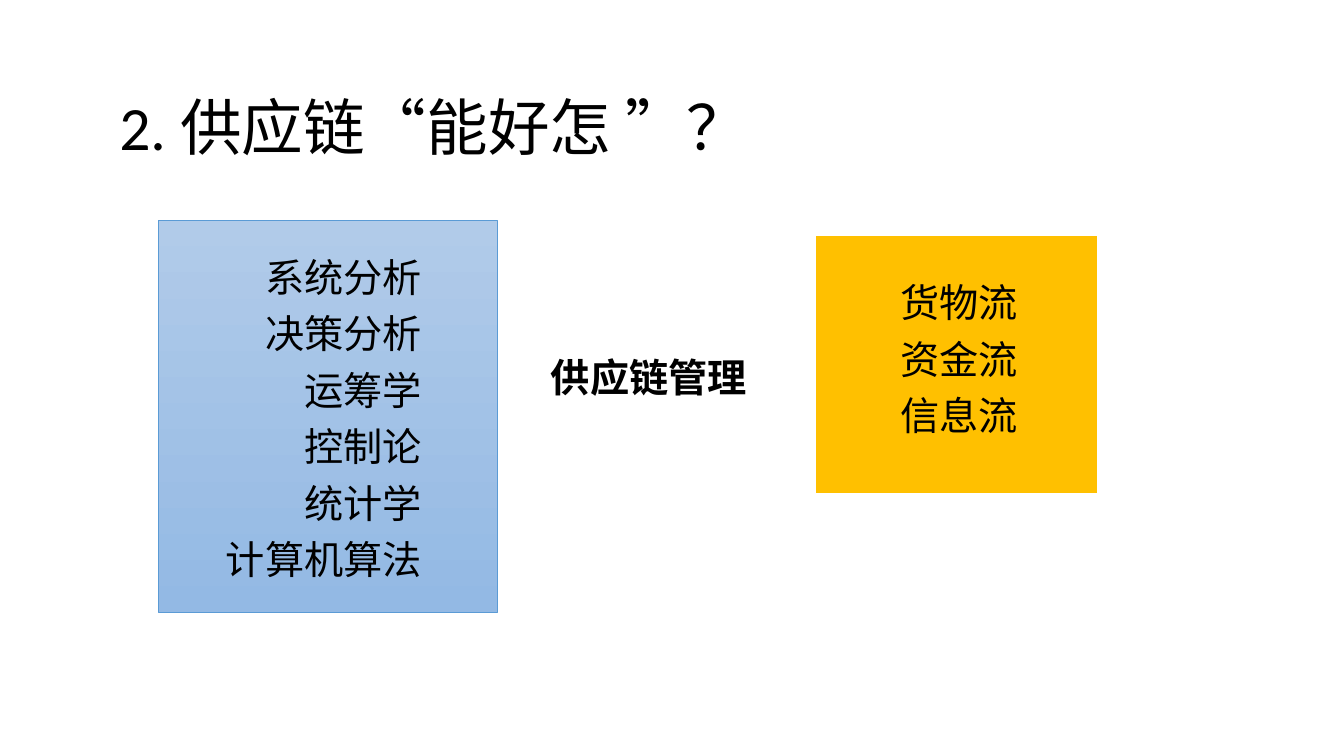
from dataclasses import dataclass, field
from pptx import Presentation
from pptx.dml.color import RGBColor
from pptx.enum.lang import MSO_LANGUAGE_ID
from pptx.enum.shapes import MSO_SHAPE
from pptx.enum.text import MSO_ANCHOR, MSO_AUTO_SIZE, PP_ALIGN
from pptx.oxml.ns import qn
from pptx.util import Inches, Pt

COLORS = {
    "text": "000000",
    "flows": "FFC000",
    "flows_line": "FFFFFF",
    "methods_top": "B1CBE9",
    "methods_bottom": "93B9E4",
    "methods_line": "5B9BD5",
}
GRID_COLUMNS, GRID_ROWS = 160, 90
LIST_FORMAT = {"line_spacing": 0.9, "space_before": Pt(10)}


@dataclass
class Area:
    column: float
    row: float
    columns: float
    rows: float


@dataclass
class Panel:
    area: Area
    fills: list[str]
    line: str
    line_width: float


@dataclass
class TextBlock:
    area: Area
    lines: list[str]
    paragraph_format: dict = field(default_factory=dict)
    font_format: dict = field(default_factory=dict)
    frame_format: dict = field(default_factory=dict)


PANELS = [
    Panel(Area(97, 28, 33.7, 30.8), ["flows"], "flows_line", 1.5),
    Panel(Area(18.8, 26.2, 40.4, 46.7), ["methods_top", "methods_bottom"], "methods_line", 0.5),
]
TITLE = TextBlock(
    Area(13, 6.8, 138, 17.4), ["2. 供应链“能好怎 ”？"],
    {"line_spacing": 0.9}, {"size": Pt(44)}, {"vertical_anchor": MSO_ANCHOR.MIDDLE},
)
METHODS = TextBlock(
    Area(11, 30.2, 40.4, 45),
    ["系统分析", "决策分析", "运筹学", "控制论", "统计学", "计算机算法"],
    {**LIST_FORMAT, "alignment": PP_ALIGN.RIGHT},
)
MANAGEMENT = TextBlock(Area(64.4, 41.5, 31.1, 6.8), ["供应链管理"], font_format={"bold": True})
FLOWS = TextBlock(Area(106, 33.2, 54, 45), ["货物流", "资金流", "信息流"], LIST_FORMAT)


def color(name: str) -> RGBColor:
    return RGBColor.from_string(COLORS[name])


def apply_format(target, values: dict) -> None:
    for name, value in values.items():
        setattr(target, name, value)


def bounds(area: Area) -> dict:
    column = presentation.slide_width / GRID_COLUMNS
    row = presentation.slide_height / GRID_ROWS
    return {
        "left": round(area.column * column),
        "top": round(area.row * row),
        "width": round(area.columns * column),
        "height": round(area.rows * row),
    }


def draw_panel(panel: Panel) -> None:
    shape = slide.shapes.add_shape(MSO_SHAPE.RECTANGLE, **bounds(panel.area))
    shape.shadow.inherit = False
    if len(panel.fills) == 1:
        shape.fill.solid()
        shape.fill.fore_color.rgb = color(panel.fills[0])
    else:
        shape.fill.gradient()
        shape.fill.gradient_angle = 270
        for stop, name in zip(shape.fill.gradient_stops, panel.fills):
            stop.color.rgb = color(name)
    shape.line.color.rgb = color(panel.line)
    shape.line.width = Pt(panel.line_width)


def write_text(shape, block: TextBlock) -> None:
    apply_format(shape, bounds(block.area))
    frame = shape.text_frame
    frame.text = "\n".join(block.lines)
    apply_format(frame, {
        "word_wrap": True,
        "auto_size": MSO_AUTO_SIZE.NONE,
        "vertical_anchor": MSO_ANCHOR.TOP,
        **block.frame_format,
    })
    for paragraph in frame.paragraphs:
        apply_format(paragraph, {
            "alignment": PP_ALIGN.LEFT, "space_before": Pt(0), **block.paragraph_format,
        })
        properties = paragraph._p.get_or_add_pPr()
        properties.set("marL", "0")
        properties.set("indent", "0")
        properties.append(properties.makeelement(qn("a:buNone"), {}))
        font = paragraph.runs[0].font
        apply_format(font, {
            "name": "Calibri",
            "size": Pt(28),
            "language_id": MSO_LANGUAGE_ID.SIMPLIFIED_CHINESE,
            **block.font_format,
        })
        font.color.rgb = color("text")


presentation = Presentation()
presentation.slide_width, presentation.slide_height = Inches(13.33), Inches(7.5)
slide = presentation.slides.add_slide(presentation.slide_layouts[1])
title, body = slide.placeholders

for panel in PANELS:
    draw_panel(panel)
slide.shapes._spTree.append(body._element)
write_text(body, METHODS)
for block in (MANAGEMENT, FLOWS):
    write_text(slide.shapes.add_textbox(**bounds(block.area)), block)
slide.shapes._spTree.append(title._element)
write_text(title, TITLE)

presentation.save("out.pptx")
